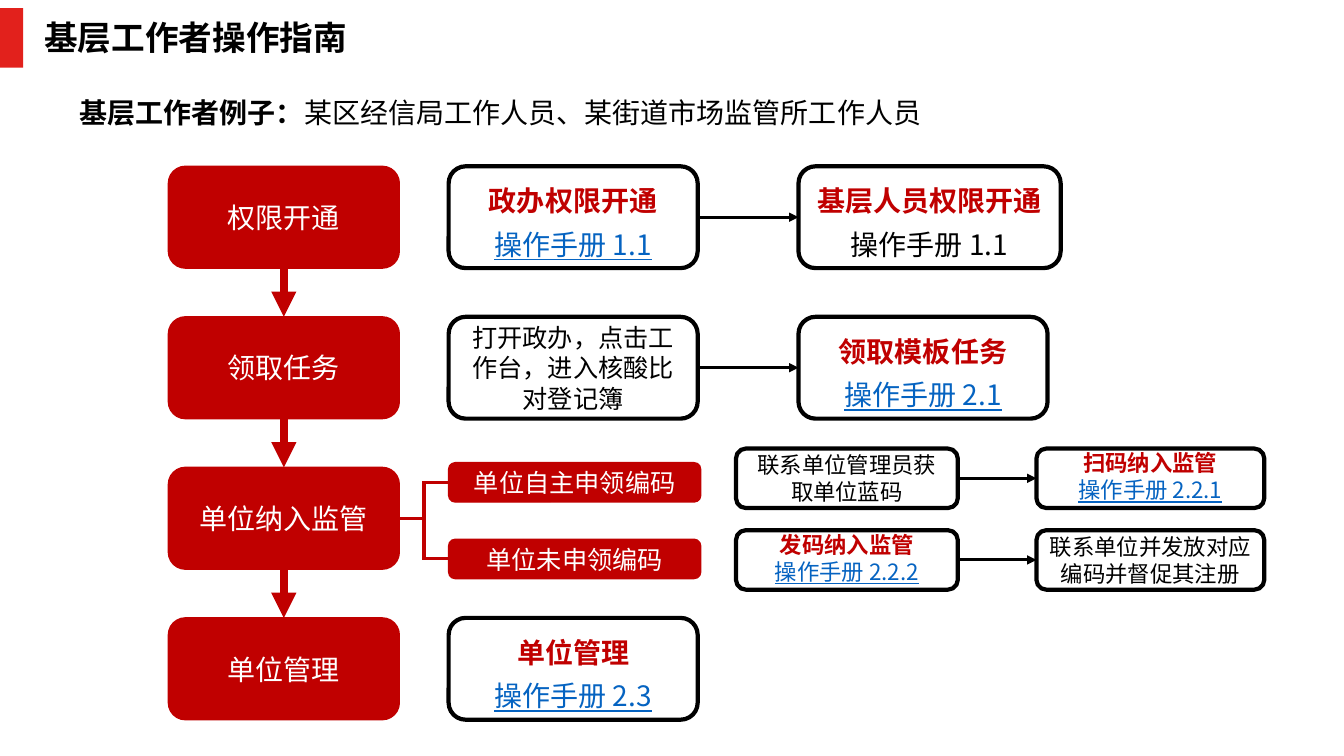
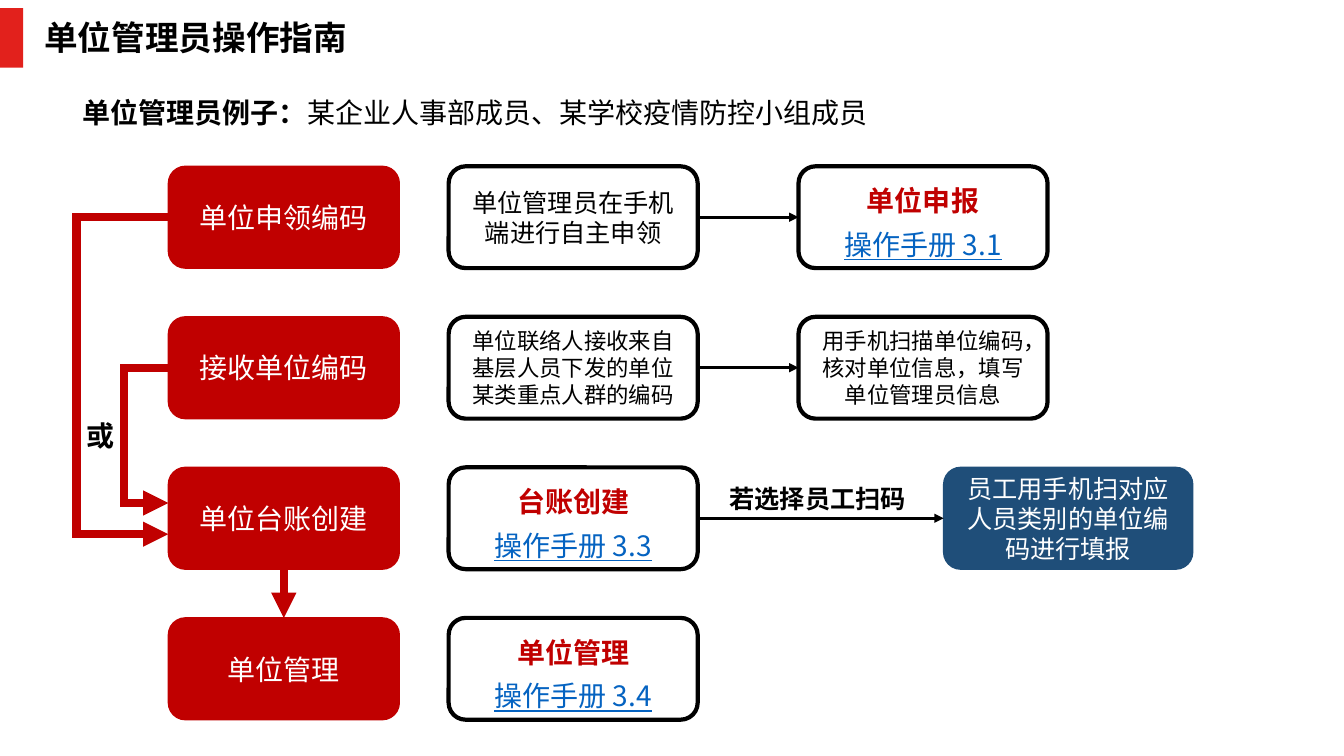
from lxml import etree
from pptx import Presentation
from pptx.dml.color import RGBColor
from pptx.enum.shapes import MSO_CONNECTOR as CONN, MSO_SHAPE as SHAPE
from pptx.enum.text import MSO_ANCHOR as ANCHOR, PP_ALIGN as ALIGN
from pptx.oxml.ns import qn
from pptx.util import Inches, Pt

FONT = "Noto Sans CJK SC"
COLORS = {"band": "E2211C", "red": "C00000", "navy": "1F4E79",
          "link": "0563C1", "black": "000000", "white": "FFFFFF"}

# Grid: the columns are (left, width); rows are evenly spaced
STEP, GUIDE, NEXT = (1.67, 2.29), (4.45, 2.47), (7.92, 2.47)
WIDE_NEXT, FAR = (7.92, 2.6), (9.36, 2.47)
BRANCH, SMALL_GUIDE, SMALL_NEXT = (4.45, 2.5), (7.3, 2.2), (10.28, 2.26)
ROW_H, BRANCH_H, SMALL_H = 1.01, 0.39, 0.59
ROWS = [1.65 + i * (6.13 - 1.65) / 3 for i in range(4)]

# Box styles: (fill, border, border width, text colour)
STYLES = {"step": ("red", "red", 1, "white"),
          "staff": ("navy", "navy", 1, "white"),
          "plain": (None, "black", 3, "black")}

# Box: name -> (style, column, top, height, size, lines)
# A second line is a manual reference under a red heading
SLIDES = [
    {
        "title": "基层工作者操作指南",
        "example": ("基层工作者例子：", "某区经信局工作人员、某街道市场监管所工作人员"),
        "example_at": (0.69, 8.62),
        "steps": ["权限开通", "领取任务", "单位纳入监管", "单位管理"],
        "boxes": {
            "access": ("plain", GUIDE, ROWS[0], ROW_H, 20, ["政办权限开通", "操作手册 1.1"]),
            "staff access": ("plain", WIDE_NEXT, ROWS[0], ROW_H, 20,
                             ["基层人员权限开通", "操作手册 1.1"]),
            "open app": ("plain", GUIDE, ROWS[1], ROW_H, 18,
                         ["打开政办，点击工作台，进入核酸比对登记簿"]),
            "template": ("plain", NEXT, ROWS[1], ROW_H, 20, ["领取模板任务", "操作手册 2.1"]),
            "applied": ("step", BRANCH, 4.59, BRANCH_H, 18, ["单位自主申领编码"]),
            "not applied": ("step", BRANCH, 5.35, BRANCH_H, 18, ["单位未申领编码"]),
            "get code": ("plain", SMALL_GUIDE, 4.45, SMALL_H, 16, ["联系单位管理员获取单位蓝码"]),
            "scan code": ("plain", SMALL_NEXT, 4.45, SMALL_H, 16,
                          ["扫码纳入监管", "操作手册 2.2.1"]),
            "issue code": ("plain", SMALL_GUIDE, 5.26, SMALL_H, 16,
                           ["发码纳入监管", "操作手册 2.2.2"]),
            "register": ("plain", SMALL_NEXT, 5.26, SMALL_H, 16,
                         ["联系单位并发放对应编码并督促其注册"]),
            "manage": ("plain", GUIDE, ROWS[3], ROW_H, 20, ["单位管理", "操作手册 2.3"]),
        },
        "down": [0, 1, 2],
        "across": [("access", "staff access"), ("open app", "template"),
                   ("get code", "scan code"), ("issue code", "register")],
        "branches": [(2, "applied"), (2, "not applied")],
        "unlinked": ["staff access"],
    },
    {
        "title": "单位管理员操作指南",
        "example": ("单位管理员例子：", "某企业人事部成员、某学校疫情防控小组成员"),
        "example_at": (0.72, 8.06),
        "steps": ["单位申领编码", "接收单位编码", "单位台账创建", "单位管理"],
        "boxes": {
            "apply": ("plain", GUIDE, ROWS[0], ROW_H, 18, ["单位管理员在手机端进行自主申领"]),
            "declare": ("plain", NEXT, ROWS[0], ROW_H, 20, ["单位申报", "操作手册 3.1"]),
            "receive": ("plain", GUIDE, ROWS[1], ROW_H, 16,
                        ["单位联络人接收来自基层人员下发的单位某类重点人群的编码"]),
            "fill in": ("plain", NEXT, ROWS[1], ROW_H, 16,
                        ["用手机扫描单位编码，核对单位信息，填写单位管理员信息"]),
            "ledger": ("plain", GUIDE, ROWS[2], ROW_H, 20, ["台账创建", "操作手册 3.3"]),
            "report": ("staff", FAR, ROWS[2], ROW_H, 18,
                       ["员工用手机扫对应人员类别的单位编码进行填报"]),
            "manage": ("plain", GUIDE, ROWS[3], ROW_H, 20, ["单位管理", "操作手册 3.4"]),
        },
        "down": [2],
        "across": [("apply", "declare"), ("receive", "fill in"), ("ledger", "report")],
        # (start row, x of the vertical part, y of the arrowhead)
        "loops": [(0, 0.76, 5.3), (1, 1.23, 4.99)],
        # (text, place, size, alignment, line spacing, wrap)
        "labels": [("若选择员工扫码", (7.01, 4.6, 2.2, 0.51), 18, ALIGN.CENTER, 1.5, True),
                   ("或", (0.76, 4.1, 0.48, 0.44), 20, ALIGN.LEFT, 1.0, False)],
    },
]


def rgb(name):
    return RGBColor.from_string(COLORS[name])


def style_run(r, size, color="black", bold=False, underline=False):
    f = r.font
    f.size, f.bold, f.underline = Pt(size), bold, underline
    f.color.rgb = rgb(color)
    f.name = FONT
    ea = etree.SubElement(r._r.get_or_add_rPr(), qn("a:ea"))
    ea.set("typeface", FONT)


def style_line(shape, color, width, arrow=True):
    shape.line.color.rgb = rgb(color)
    shape.line.width = Pt(width)
    ln = shape.line._get_or_add_ln()
    etree.SubElement(ln, qn("a:miter")).set("lim", "800000")
    if arrow:
        etree.SubElement(ln, qn("a:tailEnd")).set("type", "triangle")


def add_label(s, place, runs, size, align=ALIGN.LEFT, spacing=1.0, wrap=False):
    """Add a text box; runs are (text, bold)."""
    tf = s.shapes.add_textbox(*map(Inches, place)).text_frame
    tf.word_wrap = wrap
    p = tf.paragraphs[0]
    p.alignment, p.line_spacing = align, spacing
    for text, bold in runs:
        r = p.add_run()
        r.text = text
        style_run(r, size, bold=bold)


def add_box(s, style, column, top, height, size, lines, linked=True):
    fill, border, width, color = STYLES[style]
    left, box_w = column
    sp = s.shapes.add_shape(SHAPE.ROUNDED_RECTANGLE, Inches(left), Inches(top),
                            Inches(box_w), Inches(height))
    sp.shadow.inherit = False
    if fill:
        sp.fill.solid()
        sp.fill.fore_color.rgb = rgb(fill)
    else:
        sp.fill.background()
    sp.line.color.rgb = rgb(border)
    sp.line.width = Pt(width)
    tf = sp.text_frame
    tf.word_wrap, tf.vertical_anchor = True, ANCHOR.MIDDLE
    tf.text = "\n".join(lines)
    has_manual = len(lines) == 2
    if has_manual and height == SMALL_H:
        tf.margin_top = Inches(0.01)
    for i, p in enumerate(tf.paragraphs):
        p.alignment = ALIGN.CENTER
        if has_manual and height == ROW_H:
            p.line_spacing = 1.3
        is_link = i == 1 and linked
        text_color = "link" if is_link else "red" if has_manual and i == 0 else color
        style_run(p.runs[0], size, text_color, has_manual and i == 0, is_link)
    return sp


def connect(s, start, end, sides, color, width, kind=CONN.STRAIGHT, arrow=True):
    cxn = s.shapes.add_connector(kind, 0, 0, 0, 0)
    cxn.begin_connect(start, sides[0])
    cxn.end_connect(end, sides[1])
    style_line(cxn, color, width, arrow)
    etree.SubElement(cxn._element.spPr, qn("a:effectLst"))


def add_loop(s, row, x, end_y):
    """Draw a bent arrow from a step, round its left, to a later step."""
    left, start_y = STEP[0], ROWS[row] + ROW_H / 2
    builder = s.shapes.build_freeform(Inches(left), Inches(start_y))
    corners = [(x, start_y), (x, end_y), (left, end_y)]
    builder.add_line_segments([(Inches(a), Inches(b)) for a, b in corners], close=False)
    sp = builder.convert_to_shape()
    sp.shadow.inherit = False
    sp.fill.background()
    style_line(sp, "red", 6)


def new_slide(prs, title):
    s = prs.slides.add_slide(prs.slide_layouts[5])
    band = s.shapes.add_shape(SHAPE.RECTANGLE, 0, Inches(0.08), Inches(0.23), Inches(0.59))
    band.shadow.inherit = False
    band.fill.solid()
    band.fill.fore_color.rgb = rgb("band")
    band.line.fill.background()
    t = s.shapes.title
    t.left, t.top, t.width, t.height = map(Inches, (0.39, 0.21, 9.65, 0.37))
    tf = t.text_frame
    tf.text = title
    tf.vertical_anchor = ANCHOR.MIDDLE
    tf.margin_left = tf.margin_right = tf.margin_top = tf.margin_bottom = Inches(0.05)
    p = tf.paragraphs[0]
    p.alignment, p.line_spacing = ALIGN.LEFT, 0.9
    style_run(p.runs[0], 24, bold=True)
    return s


def build_slide(prs, data):
    s = new_slide(prs, data["title"])
    left, width = data["example_at"]
    heading, people = data["example"]
    add_label(s, (left, 0.9, width, 0.44), [(heading, True), (people, False)], 20)

    steps = [add_box(s, "step", STEP, top, ROW_H, 20, [text])
             for top, text in zip(ROWS, data["steps"])]
    boxes = {name: add_box(s, *box, linked=name not in data.get("unlinked", []))
             for name, box in data["boxes"].items()}

    for i in data["down"]:
        connect(s, steps[i], steps[i + 1], (2, 0), "red", 6)
    for start, end in data["across"]:
        connect(s, boxes[start], boxes[end], (3, 1), "black", 2.25)
    for i, end in data.get("branches", []):
        connect(s, steps[i], boxes[end], (3, 1), "red", 2.25, CONN.ELBOW, arrow=False)
    for loop in data.get("loops", []):
        add_loop(s, *loop)
    for text, place, size, align, spacing, wrap in data.get("labels", []):
        add_label(s, place, [(text, True)], size, align, spacing, wrap)


def main():
    prs = Presentation()
    prs.slide_width, prs.slide_height = Inches(13.33), Inches(7.5)
    for data in SLIDES:
        build_slide(prs, data)
    prs.save("out.pptx")


if __name__ == "__main__":
    main()
